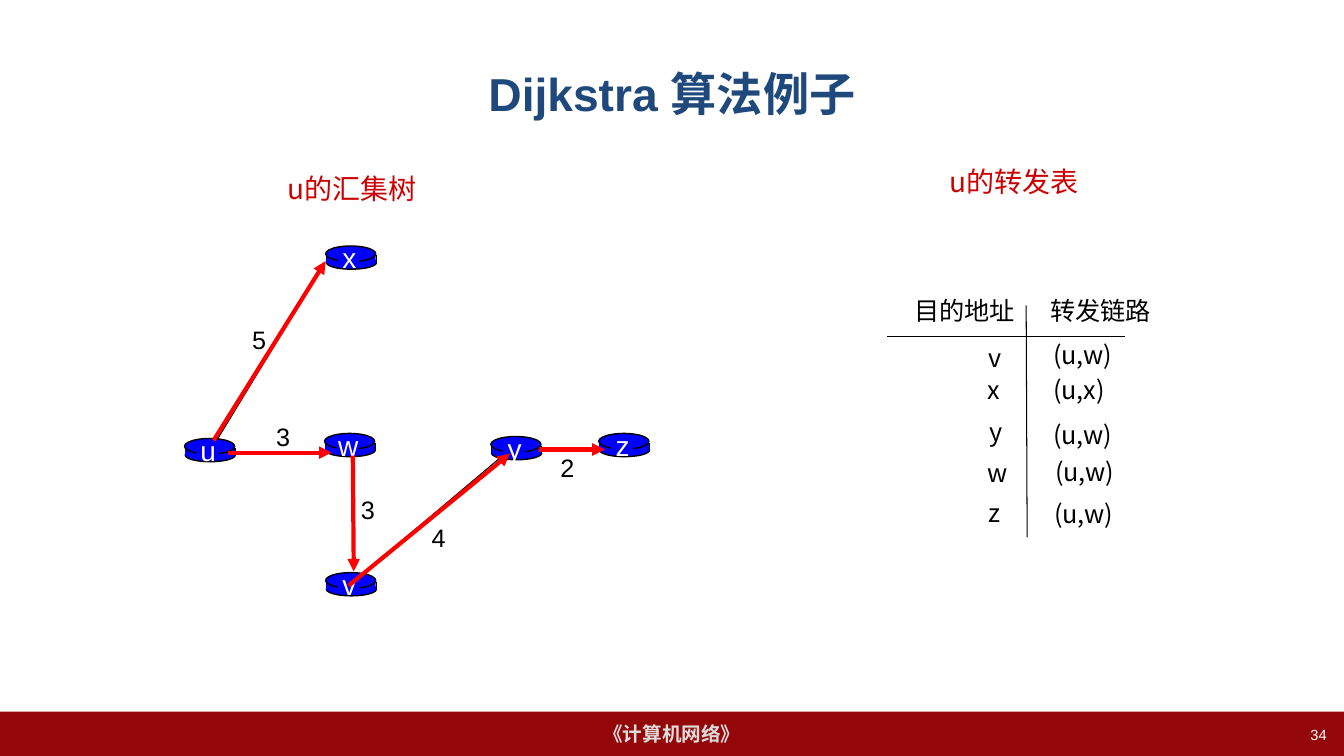
from dataclasses import dataclass
from typing import NamedTuple

from lxml import etree
from pptx import Presentation
from pptx.dml.color import RGBColor
from pptx.enum.shapes import MSO_CONNECTOR, MSO_SHAPE
from pptx.enum.text import MSO_ANCHOR, PP_ALIGN
from pptx.oxml.ns import qn
from pptx.util import Pt

LEFT, CENTER, RIGHT = PP_ALIGN.LEFT, PP_ALIGN.CENTER, PP_ALIGN.RIGHT
TOP, MIDDLE = MSO_ANCHOR.TOP, MSO_ANCHOR.MIDDLE
OVAL, RECTANGLE = MSO_SHAPE.OVAL, MSO_SHAPE.RECTANGLE
STRAIGHT = MSO_CONNECTOR.STRAIGHT


@dataclass(frozen=True)
class Theme:
    latin: str = "Arial"
    chinese: str = "Noto Sans CJK SC"
    black: str = "000000"
    white: str = "FFFFFF"
    navy: str = "1F497D"
    blue: str = "0000FF"
    red: str = "FF0000"
    crimson: str = "CC0000"
    band: str = "940709"
    silver: str = "DDDDDD"
    title: float = 33
    heading: float = 20
    body: float = 18
    footer: float = 14
    number: float = 10.5
    line_factor: float = 1.2


THEME = Theme()


class Box(NamedTuple):
    left: float
    top: float
    width: float
    height: float


class Style(NamedTuple):
    size: float
    color: str
    name: str = THEME.latin
    bold: bool = False
    alignment: PP_ALIGN = CENTER
    anchor: MSO_ANCHOR = TOP
    wrap: bool = False


class Line(NamedTuple):
    x1: float
    y1: float
    x2: float
    y2: float


class Router(NamedTuple):
    name: str
    left: float
    top: float


class Weight(NamedTuple):
    text: str
    left: float
    top: float


class Route(NamedTuple):
    target: str
    target_left: float
    target_top: float
    link: str
    link_left: float
    link_top: float


TITLE = Style(THEME.title, THEME.navy, bold=True, anchor=MIDDLE, wrap=True)
FOOTER = Style(THEME.footer, THEME.silver, bold=True, anchor=MIDDLE)
NUMBER = Style(THEME.number, THEME.white, alignment=RIGHT, wrap=True)
HEADING = Style(THEME.heading, THEME.crimson, THEME.chinese, wrap=True)
CELL = Style(THEME.body, THEME.black, THEME.chinese, alignment=LEFT)
ROUTER_NAME = Style(THEME.heading, THEME.white)
WEIGHT = Style(THEME.body, THEME.black)

ROUTERS = [
    Router("w", 231.8, 309.6), Router("v", 232.6, 409), Router("x", 232.6, 175.7),
    Router("u", 131.8, 313.2), Router("y", 350.6, 311.8), Router("z", 427.7, 309.6),
]
WEIGHTS = [
    Weight("3", 190.1, 297.4), Weight("5", 172.8, 228.2), Weight("3", 250.6, 349.9),
    Weight("4", 301, 369.4), Weight("2", 393.1, 319.7),
]
LINKS = [Line(231.8, 187.9, 154.8, 314.6), Line(364.3, 321.1, 249.8, 417.6)]
TREE_ARROWS = [
    Line(385.2, 321.1, 432, 321.1), Line(249.1, 418.3, 364.3, 324),
    Line(252, 325.4, 252.7, 408.2), Line(152.6, 314.6, 232.6, 186.5),
    Line(162.7, 323.3, 236.9, 323.3),
]
TABLE_RULES = [Line(733, 218.2, 733.7, 383.8), Line(633.6, 240.5, 803.5, 240.5)]
ROUTES = [
    Route("v", 699.1, 241.2, "(u,w)", 745.2, 239),
    Route("x", 698.4, 264.2, "(u,x)", 745.2, 264.2),
    Route("y", 699.8, 293.8, "(u,w)", 745.2, 295.9),
    Route("w", 698.4, 323.3, "(u,w)", 746.6, 322.6),
    Route("z", 699.1, 351.4, "(u,w)", 745.9, 352.1),
]
TABLE_HEADERS = {"目的地址": 645.8, "转发链路": 743}
HEADINGS = {"u的汇集树": (197.3, 118.8), "u的转发表": (670.3, 113.8)}


def write_text(shape, text: str, style: Style) -> None:
    frame = shape.text_frame
    frame.word_wrap = style.wrap
    frame.vertical_anchor = style.anchor
    paragraph = frame.paragraphs[0]
    paragraph.alignment = style.alignment
    if style.name == THEME.chinese:
        paragraph.line_spacing = Pt(style.size * THEME.line_factor)
    run = paragraph.add_run()
    run.text = text
    values = {"size": Pt(style.size), "bold": style.bold, "name": style.name}
    for attribute, value in values.items():
        setattr(run.font, attribute, value)
    run.font.color.rgb = RGBColor.from_string(style.color)
    east_asian = etree.SubElement(run._r.get_or_add_rPr(), qn("a:ea"))
    east_asian.set("typeface", THEME.chinese)


def add_text(slide, box: Box, text: str, style: Style) -> None:
    write_text(slide.shapes.add_textbox(*map(Pt, box)), text, style)


def add_block(slide, kind: MSO_SHAPE, box: Box, fill: str, outlined: bool = False):
    shape = slide.shapes.add_shape(kind, *map(Pt, box))
    shape.shadow.inherit = False
    shape.fill.solid()
    shape.fill.fore_color.rgb = RGBColor.from_string(fill)
    if outlined:
        shape.line.color.rgb = RGBColor.from_string(THEME.black)
        shape.line.width = Pt(1)
    else:
        shape.line.fill.background()
    return shape


def add_line(slide, line: Line, color: str = THEME.black, width: float = 0.75,
             arrow: bool = False) -> None:
    connector = slide.shapes.add_connector(STRAIGHT, *map(Pt, line))
    connector.line.color.rgb = RGBColor.from_string(color)
    connector.line.width = Pt(width)
    if arrow:
        head = etree.SubElement(connector.line._get_or_add_ln(), qn("a:tailEnd"))
        head.set("type", "triangle")
    etree.SubElement(connector._element.spPr, qn("a:effectLst"))


def add_router(slide, router: Router) -> None:
    name, left, top = router
    add_block(slide, OVAL, Box(left + 0.5, top + 7.2, 35.8, 9.4), THEME.blue, True)
    for side in (left + 0.5, left + 36.2):
        add_line(slide, Line(side, top + 6.5, side, top + 12.2), width=1)
    add_block(slide, RECTANGLE, Box(left + 0.5, top + 6.5, 35.3, 5.8), THEME.blue)
    add_block(slide, OVAL, Box(left, top, 35.8, 11.2), THEME.blue, True)
    add_block(slide, RECTANGLE, Box(left + 8.6, top + 3.2, 15.8, 12.2), THEME.blue)
    add_text(slide, Box(left + 2, top - 7.2, 30, 31.5), name, ROUTER_NAME)


def build() -> None:
    """Build the shortest-path slide with its tree and forwarding table."""
    presentation = Presentation()
    presentation.slide_width, presentation.slide_height = Pt(960), Pt(540)
    slide = presentation.slides.add_slide(presentation.slide_layouts[6])

    band = add_block(slide, RECTANGLE, Box(0, 508.3, 960, 31.7), THEME.band)
    write_text(band, "《计算机网络》", FOOTER)
    add_text(slide, Box(48, 21.6, 864, 90), "Dijkstra 算法例子", TITLE)
    add_text(slide, Box(730.8, 514.8, 223.9, 25.2), "34", NUMBER)

    for link in LINKS:
        add_line(slide, link)
    for router in ROUTERS:
        add_router(slide, router)
    for weight in WEIGHTS:
        add_text(slide, Box(weight.left, weight.top, 24.5, 28.8), weight.text, WEIGHT)
    for arrow in TREE_ARROWS:
        add_line(slide, arrow, THEME.red, 3, arrow=True)

    for rule in TABLE_RULES:
        add_line(slide, rule)
    for route in ROUTES:
        add_text(slide, Box(route.target_left, route.target_top, 28.8, 28.8), route.target, CELL)
        add_text(slide, Box(route.link_left, route.link_top, 56.9, 28.8), route.link, CELL)
    for header, left in TABLE_HEADERS.items():
        add_text(slide, Box(left, 207.4, 87.1, 28.8), header, CELL)
    for heading, (left, top) in HEADINGS.items():
        add_text(slide, Box(left, top, 108, 31.7), heading, HEADING)

    presentation.save("out.pptx")


if __name__ == "__main__":
    build()
